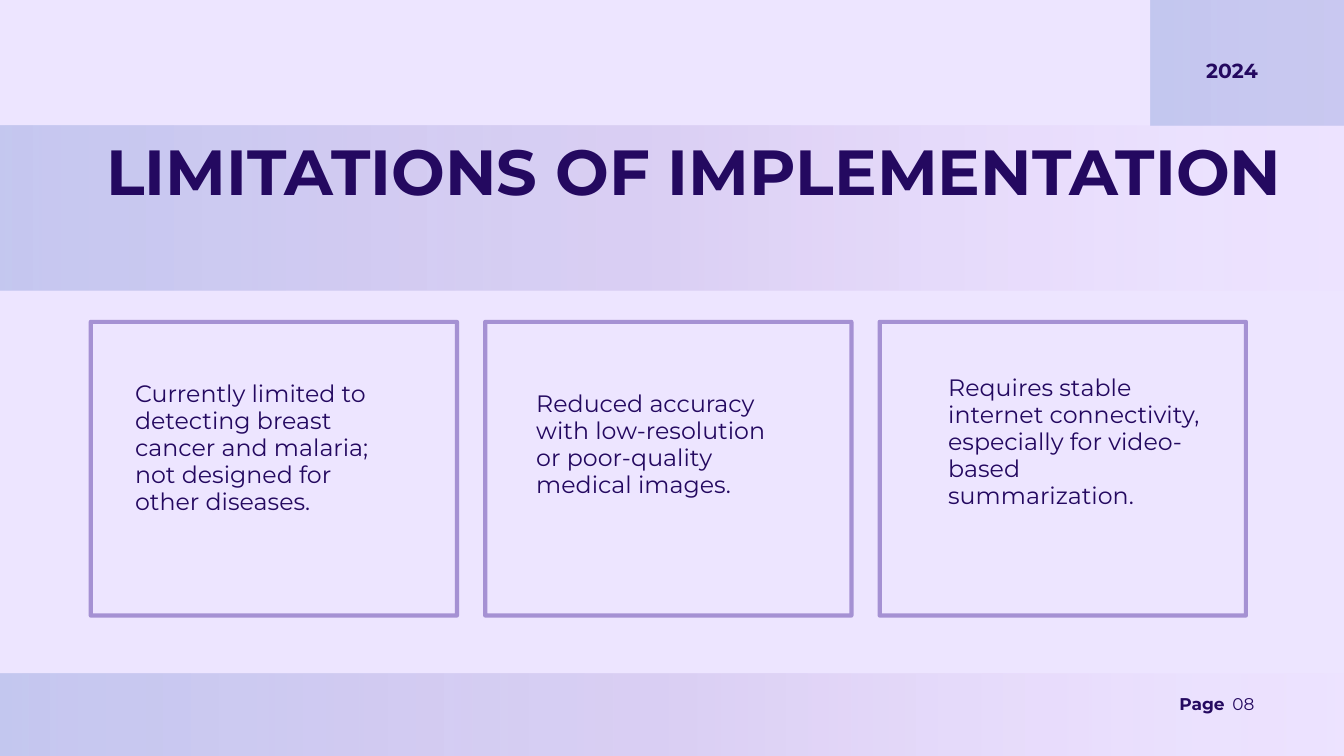
import pptx
import pptx.dml.color
import pptx.enum.shapes
import pptx.enum.text
import pptx.oxml.ns
import pptx.util
from lxml import etree

Inches = pptx.util.Inches
Pt = pptx.util.Pt
qn = pptx.oxml.ns.qn
ALIGN = pptx.enum.text.PP_ALIGN

COLORS = {"background": "EDE5FF", "ink": "240960", "border": "6B4CAF",
          "blue": "3C67BF", "purple": "6B4CAF", "pink": "F7ACFF"}
FONT = "Montserrat"

# position %, colour, opacity %
BAND_STOPS = [(0, "blue", 23), (50, "purple", 13), (100, "pink", 0)]
BAND_SIZE = (21.35, 2.45)
BAND_CORNERS = [(-0.41, 1.87), (-0.15, 10.02), (17.12, -0.58)]

TITLE = "LIMITATIONS OF IMPLEMENTATION"
TITLE_BOX = (0.09, 2.34, 20.47, 0.84)

# text, box, format, line spacing
LABELS = [
    ("Page", (17.55, 10.36, 0.79, 0.27), {"size": Pt(18.2), "bold": True}, 18.6),
    ("08", (18.34, 10.36, 0.39, 0.26), {"size": Pt(18.2), "bold": False}, 18.6),
    ("2024", (17.95, 0.92, 0.93, 0.31), {"size": Pt(21.8), "bold": True}, 22.3),
]

CARD_LEFT, CARD_TOP, CARD_WIDTH, CARD_HEIGHT = 1.35, 4.79, 5.45, 4.37
CARD_STEP = 5.87
BORDER_OPACITY = 55
# text, then its left, top and width
LIMITATIONS = [
    ("Currently limited to detecting breast cancer and malaria; "
     "not designed for other diseases.", 2.01, 5.65, 3.78),
    ("Reduced accuracy with low-resolution or poor-quality medical images.",
     7.98, 5.8, 3.63),
    ("Requires stable internet connectivity, especially for video-based "
     "summarization.", 14.11, 5.57, 3.83),
]
LIMITATION_HEIGHT = 2.38


def rgb(name):
    return pptx.dml.color.RGBColor.from_string(COLORS[name])


def add_opacity(color, percent):
    etree.SubElement(color, qn("a:alpha"), val=str(percent * 1000))


def add_rectangle(slide, left, top, width, height):
    rectangle = slide.shapes.add_shape(
        pptx.enum.shapes.MSO_SHAPE.RECTANGLE,
        Inches(left), Inches(top), Inches(width), Inches(height))
    rectangle.shadow.inherit = False
    return rectangle


def add_band(slide, left, top):
    band = add_rectangle(slide, left, top, *BAND_SIZE)
    band.line.fill.background()
    band.fill.gradient()
    band.fill.gradient_angle = 0
    stops = band.element.spPr.find(".//" + qn("a:gsLst"))
    for stop in list(stops):
        stops.remove(stop)
    for position, name, opacity in BAND_STOPS:
        stop = etree.SubElement(stops, qn("a:gs"), pos=str(position * 1000))
        color = etree.SubElement(stop, qn("a:srgbClr"), val=COLORS[name])
        add_opacity(color, opacity)


def add_card(slide, left):
    card = add_rectangle(slide, left, CARD_TOP, CARD_WIDTH, CARD_HEIGHT)
    card.fill.background()
    card.line.width = Pt(4.5)
    card.line.color.rgb = rgb("border")
    add_opacity(card.element.spPr.find(".//" + qn("a:ln")).find(".//" + qn("a:srgbClr")),
                BORDER_OPACITY)


def write(frame, text, font_format, spacing, align=ALIGN.LEFT):
    frame_format = {
        "margin_left": 0, "margin_top": 0, "margin_right": 0, "margin_bottom": 0,
        "word_wrap": True,
        "auto_size": pptx.enum.text.MSO_AUTO_SIZE.NONE,
        "vertical_anchor": pptx.enum.text.MSO_ANCHOR.TOP,
    }
    for key, value in frame_format.items():
        setattr(frame, key, value)
    paragraph = frame.paragraphs[0]
    paragraph.alignment = align
    paragraph.line_spacing = Pt(spacing)
    run = paragraph.add_run()
    run.text = text
    for key, value in {"name": FONT, **font_format}.items():
        setattr(run.font, key, value)
    run.font.color.rgb = rgb("ink")


def add_text(slide, text, box, font_format, spacing):
    label = slide.shapes.add_textbox(*map(Inches, box))
    write(label.text_frame, text, font_format, spacing)


def place_title(slide):
    """Fill the title placeholder and bring it in front of the bands."""
    title = slide.shapes.title
    for key, value in zip(("left", "top", "width", "height"), TITLE_BOX):
        setattr(title, key, Inches(value))
    write(title.text_frame, TITLE, {"size": Pt(68.3), "bold": True}, 54.7,
          ALIGN.CENTER)
    title.element.getparent().append(title.element)


def main():
    deck = pptx.Presentation()
    deck.slide_width, deck.slide_height = Inches(20), Inches(11.25)
    slide = deck.slides.add_slide(deck.slide_layouts.get_by_name("Title Only"))
    slide.background.fill.solid()
    slide.background.fill.fore_color.rgb = rgb("background")

    for corner in BAND_CORNERS:
        add_band(slide, *corner)
    place_title(slide)
    for label in LABELS:
        add_text(slide, *label)
    for index, (text, left, top, width) in enumerate(LIMITATIONS):
        add_card(slide, CARD_LEFT + index * CARD_STEP)
        add_text(slide, text, (left, top, width, LIMITATION_HEIGHT),
                 {"size": Pt(25.4), "bold": False}, 29)

    deck.save("out.pptx")


if __name__ == "__main__":
    main()
